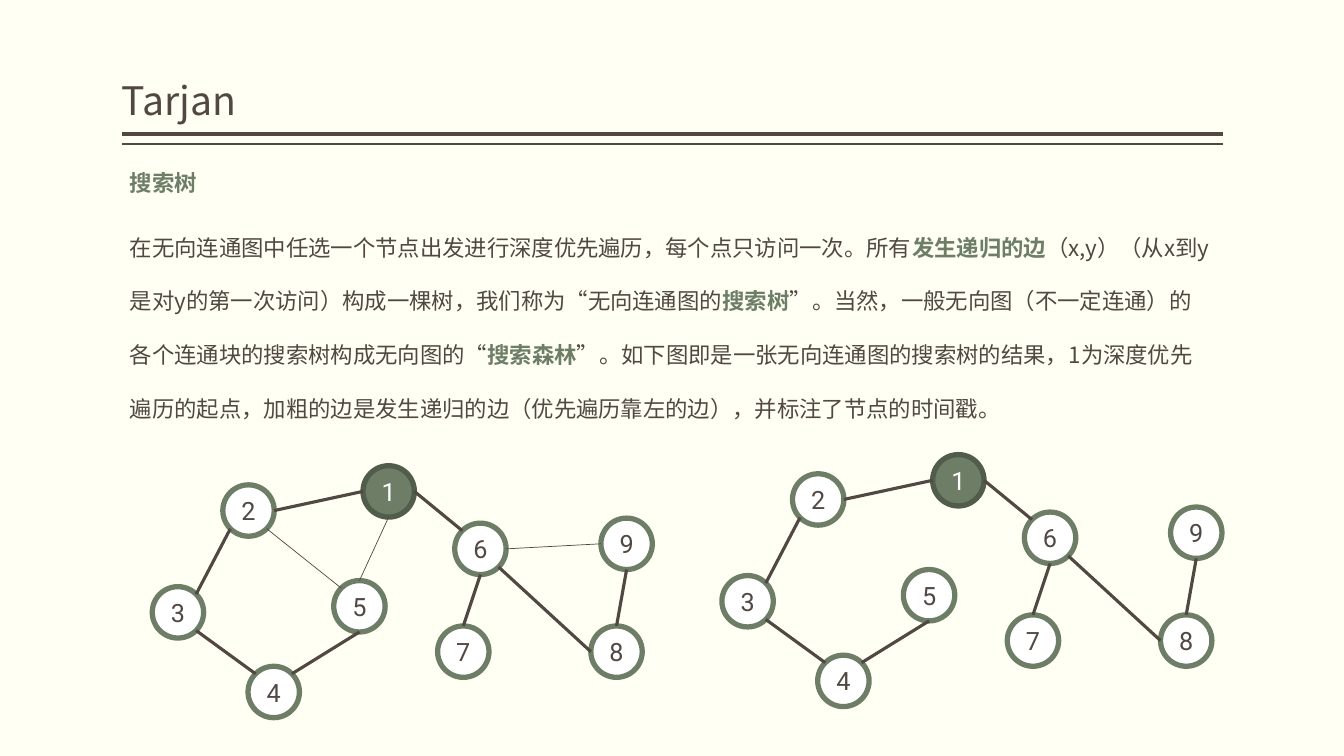
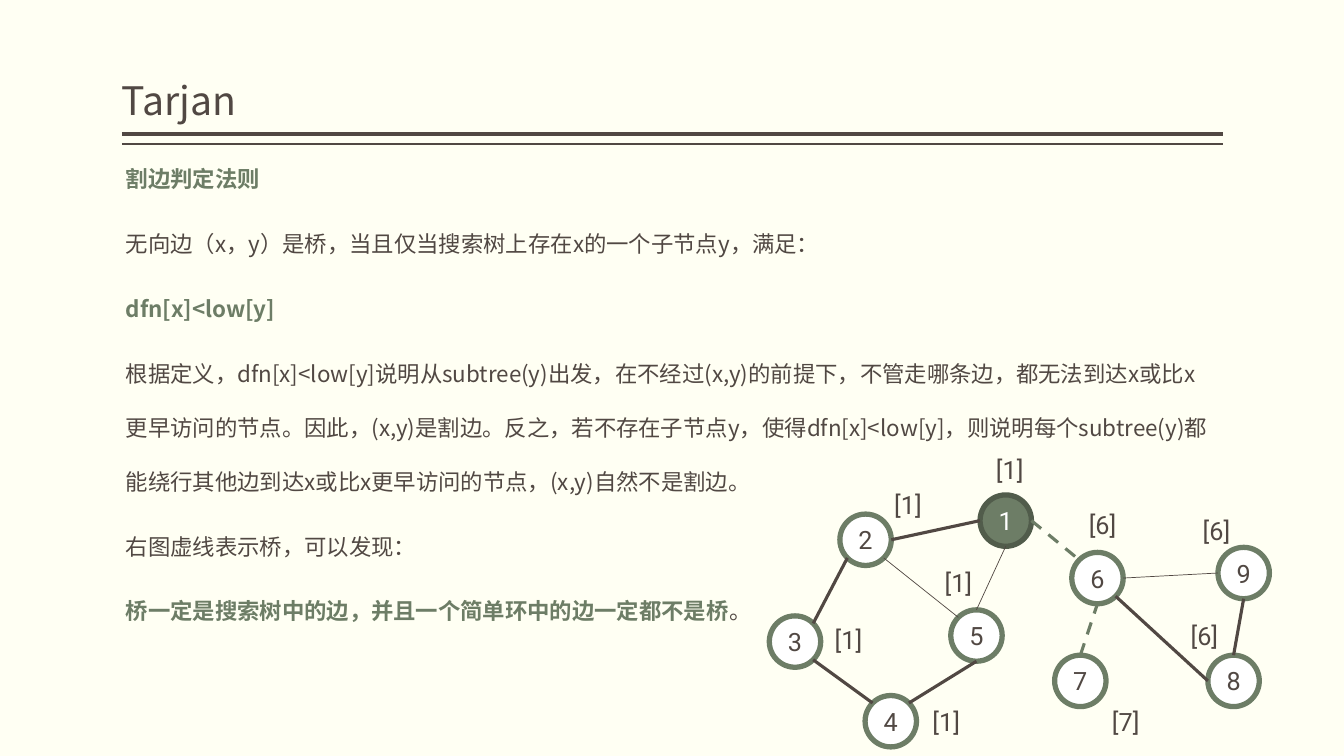
from math import sqrt

from lxml import etree
from pptx import Presentation
from pptx.dml.color import RGBColor
from pptx.enum.dml import MSO_LINE
from pptx.enum.shapes import MSO_CONNECTOR, MSO_SHAPE
from pptx.enum.text import MSO_ANCHOR as ANCHOR, PP_ALIGN as ALIGN
from pptx.oxml.ns import qn
from pptx.util import Inches, Pt

CREAM, BROWN, GREEN, DARK_GREEN, WHITE = "FFFFF3", "514843", "6D7D66", "515C4B", "FFFFFF"
CJK, LATIN = "Noto Sans CJK SC", "Roboto"
rgb = RGBColor.from_string


def write(tf, text, size=18, font=LATIN, color=BROWN, align=ALIGN.LEFT,
          anchor=ANCHOR.TOP, spacing=1.0, before=0):
    """One paragraph per line of text; parts between asterisks are bold green."""
    tf.word_wrap = True
    tf.vertical_anchor = anchor
    for i, content in enumerate(text.split("\n")):
        p = tf.add_paragraph() if i else tf.paragraphs[0]
        p.alignment, p.line_spacing = align, spacing
        p.space_before = Pt(before if i else 0)
        for j, part in enumerate(content.split("*")):
            if not part:
                continue
            r = p.add_run()
            r.text = part
            strong = j % 2 == 1
            r.font.name, r.font.size, r.font.bold = font, Pt(size), strong
            r.font.color.rgb = rgb(GREEN if strong else color)
            ea = etree.SubElement(r.font._element, qn("a:ea"))
            ea.set("typeface", font)


def draw_line(shapes, start, end, width, color=BROWN, dashed=False):
    c = shapes.add_connector(MSO_CONNECTOR.STRAIGHT, *map(Inches, start + end))
    c.line.width = Pt(width)
    c.line.color.rgb = rgb(color)
    if dashed:
        c.line.dash_style = MSO_LINE.DASH
    etree.SubElement(c._element.spPr, qn("a:effectLst"))


# Graph: top left corner of each node, edges with the sides they touch
NODE = 0.51
NODES = {1: (3.6, 4.62), 2: (2.21, 4.81), 3: (1.51, 5.82), 4: (2.46, 6.61), 5: (3.31, 5.76),
         6: (4.51, 5.19), 7: (4.34, 6.21), 8: (5.86, 6.21), 9: (5.96, 5.14)}
TREE_EDGES = [(2, "SW", 3, "NE"), (5, "S", 4, "NE"), (3, "SE", 4, "NW"), (1, "W", 2, "E"),
              (1, "E", 6, "NW"), (7, "N", 6, "S"), (9, "S", 8, "N"), (6, "SE", 8, "W")]
OTHER_EDGES = [(2, "SE", 5, "NW"), (6, "E", 9, "W"), (5, "N", 1, "S")]
LOW_LABELS = [(1, 3.66, 4.17), (1, 2.65, 4.52), (1, 2.06, 5.85), (1, 3.03, 6.67),
              (1, 3.15, 5.29), (6, 4.58, 4.71), (7, 4.81, 6.67), (6, 5.71, 4.77),
              (6, 5.59, 5.82)]
BRIDGES = [(1, 6), (7, 6)]
DIAG = 1 / sqrt(2)
SIDES = {"N": (0, -1), "S": (0, 1), "W": (-1, 0), "E": (1, 0), "NW": (-DIAG, -DIAG),
         "NE": (DIAG, -DIAG), "SW": (-DIAG, DIAG), "SE": (DIAG, DIAG)}

# Slide content: body box, spacing of the heading, text, graphs
SLIDES = [
    dict(
        box=(1.19, 1.36, 10.92, 3.52), lead=2.0,
        text="*搜索树*\n"
             "在无向连通图中任选一个节点出发进行深度优先遍历，每个点只访问一次。所有*发生递归的边*"
             "（x,y）（从x到y是对y的第一次访问）构成一棵树，我们称为“无向连通图的*搜索树*”。"
             "当然，一般无向图（不一定连通）的各个连通块的搜索树构成无向图的“*搜索森林*”。"
             "如下图即是一张无向连通图的搜索树的结果，1为深度优先遍历的起点，"
             "加粗的边是发生递归的边（优先遍历靠左的边），并标注了节点的时间戳。",
        graphs=[dict(dx=0, dy=0, others=OTHER_EDGES, bridges=[], labels=[]),
                dict(dx=5.65, dy=-0.11, others=[], bridges=[], labels=[])]),
    dict(
        box=(1.15, 1.46, 10.94, 4.87), lead=1.5,
        text="*割边判定法则*\n"
             "无向边（x，y）是桥，当且仅当搜索树上存在x的一个子节点y，满足：\n"
             "*dfn[x]<low[y]*\n"
             "根据定义，dfn[x]<low[y]说明从subtree(y)出发，在不经过(x,y)的前提下，"
             "不管走哪条边，都无法到达x或比x更早访问的节点。因此，(x,y)是割边。"
             "反之，若不存在子节点y，使得dfn[x]<low[y]，则说明每个subtree(y)"
             "都能绕行其他边到达x或比x更早访问的节点，(x,y)自然不是割边。\n"
             "右图虚线表示桥，可以发现：\n"
             "*桥一定是搜索树中的边，并且一个简单环中的边一定都不是桥*。",
        graphs=[dict(dx=6.12, dy=0.29, others=OTHER_EDGES, bridges=BRIDGES,
                     labels=LOW_LABELS)]),
]

prs = Presentation()
prs.slide_width, prs.slide_height = Inches(13.33), Inches(7.5)
fill = prs.slide_master.background.fill
fill.solid()
fill.fore_color.rgb = rgb(CREAM)

for content in SLIDES:
    s = prs.slides.add_slide(prs.slide_layouts[6])

    # Title with its double rule
    for y, width in [(1.33, 3), (1.43, 1)]:
        draw_line(s.shapes, (1.21, y), (12.13, y), width)
    tf = s.shapes.add_textbox(*map(Inches, (1.21, 0.08, 10.92, 1.2))).text_frame
    tf.margin_left = tf.margin_right = 0
    write(tf, "Tarjan", size=28, font=CJK, anchor=ANCHOR.BOTTOM, spacing=0.9)

    # Body
    tf = s.shapes.add_textbox(*map(Inches, content["box"])).text_frame
    write(tf, content["text"], size=16, font=CJK, spacing=2.0, before=8)
    tf.paragraphs[0].line_spacing = content["lead"]

    for graph in content["graphs"]:
        shapes = s.shapes.add_group_shape().shapes
        dx, dy = graph["dx"], graph["dy"]

        # Nodes, the root filled
        for n, (x, y) in NODES.items():
            root = n == 1
            sp = shapes.add_shape(MSO_SHAPE.OVAL, Inches(x + dx), Inches(y + dy),
                                  Inches(NODE), Inches(NODE))
            sp.shadow.inherit = False
            sp.fill.solid()
            sp.fill.fore_color.rgb = rgb(GREEN if root else WHITE)
            sp.line.color.rgb = rgb(DARK_GREEN if root else GREEN)
            sp.line.width = Pt(3.78)
            tf = sp.text_frame
            tf.margin_left = tf.margin_right = tf.margin_top = tf.margin_bottom = 0
            write(tf, str(n), color=WHITE if root else BROWN, align=ALIGN.CENTER,
                  anchor=ANCHOR.MIDDLE)

        # Edges: tree edges thick, bridges dashed, the others thin
        for edges, width in [(TREE_EDGES, 2.25), (graph["others"], 0.5)]:
            for a, a_side, b, b_side in edges:
                start, end = [
                    (NODES[n][0] + dx + NODE / 2 * (1 + SIDES[side][0]),
                     NODES[n][1] + dy + NODE / 2 * (1 + SIDES[side][1]))
                    for n, side in [(a, a_side), (b, b_side)]]
                bridge = (a, b) in graph["bridges"]
                draw_line(shapes, start, end, width, GREEN if bridge else BROWN, bridge)

        # Low values
        for low, x, y in graph["labels"]:
            tb = shapes.add_textbox(Inches(x + dx), Inches(y + dy), Inches(0.51), Inches(0.4))
            write(tb.text_frame, f"[{low}]")

prs.save("out.pptx")
